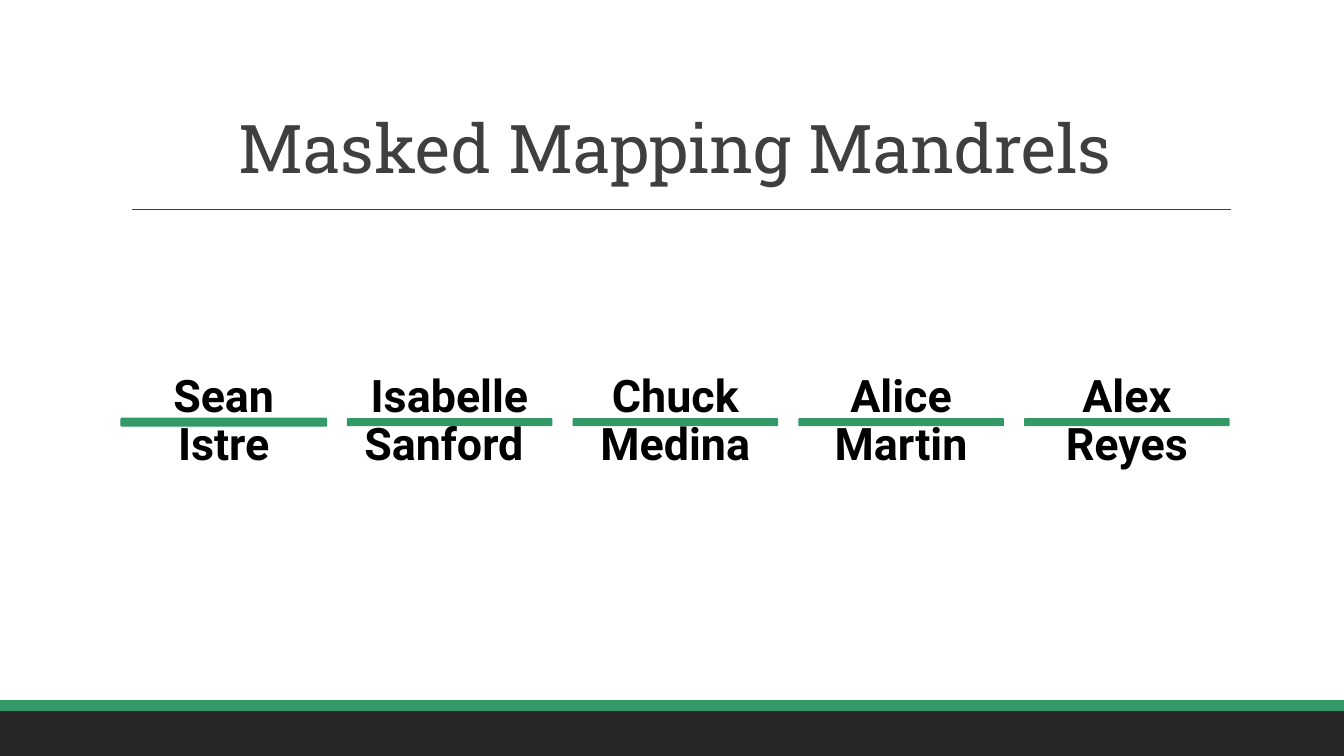
from lxml import etree
from pptx import Presentation
from pptx.dml.color import RGBColor
from pptx.enum import shapes, text
from pptx.oxml.ns import qn
from pptx.util import Cm, Pt

GREEN, DARK, GREY, BLACK = "339966", "262626", "3F3F3F", "000000"
WIDTH, HEIGHT = 33.87, 19.05
NAMES = ["Sean Istre", "Isabelle Sanford ", "Chuck Medina", "Alice Martin", "Alex Reyes"]
BAR_LEFT, BAR_TOP, BAR_WIDTH, BAR_HEIGHT, BAR_PITCH = 3.05, 10.54, 5.18, 0.2, 5.69
TEXT_INSET = 0.03


def rgb(value):
    return RGBColor.from_string(value)


def set_attrs(obj, values):
    for name, value in values.items():
        setattr(obj, name, value)


def add_bar(s, box, fill, outline=None, kind=shapes.MSO_SHAPE.RECTANGLE):
    sp = s.shapes.add_shape(kind, *map(Cm, box))
    sp.shadow.inherit = False
    sp.fill.solid()
    sp.fill.fore_color.rgb = rgb(fill)
    if outline:
        sp.line.color.rgb = rgb(fill)
        sp.line.width = Pt(outline)
    else:
        sp.line.fill.background()
    return sp


def add_rule(s, x1, x2, y, color):
    line = s.shapes.add_connector(shapes.MSO_CONNECTOR.STRAIGHT, Cm(x1), Cm(y), Cm(x2), Cm(y))
    line.line.color.rgb = rgb(color)
    line.line.width = Pt(1)
    etree.SubElement(line._element.spPr, qn("a:effectLst"))


def add_text(s, box, words, color, font, frame, spacing=None):
    tf = s.shapes.add_textbox(*map(Cm, box)).text_frame
    set_attrs(tf, {"word_wrap": True, "auto_size": text.MSO_AUTO_SIZE.NONE, **frame})
    p = tf.paragraphs[0]
    set_attrs(p, {"alignment": text.PP_ALIGN.CENTER, "line_spacing": spacing})
    r = p.add_run()
    r.text = words
    set_attrs(r.font, font)
    r.font.color.rgb = rgb(color)


def add_name(s, left, name, outline):
    bar = add_bar(s, (left, BAR_TOP, BAR_WIDTH, BAR_HEIGHT), GREEN, outline,
                  shapes.MSO_SHAPE.ROUNDED_RECTANGLE)
    bar.adjustments[0] = 0.1
    add_text(s, (left + TEXT_INSET, BAR_TOP, BAR_WIDTH - 2 * TEXT_INSET, BAR_HEIGHT), name, BLACK,
             {"name": "Roboto", "size": Pt(32), "bold": True},
             {"vertical_anchor": text.MSO_ANCHOR.MIDDLE,
              "margin_left": Cm(0.17), "margin_right": Cm(0.17),
              "margin_top": Cm(0.1), "margin_bottom": Cm(0.1)}, 0.9)


def main():
    prs = Presentation()
    set_attrs(prs, {"slide_width": Cm(WIDTH), "slide_height": Cm(HEIGHT)})
    s = prs.slides.add_slide(prs.slide_layouts[6])

    # Footer bands and title rule
    add_bar(s, (0, 17.78, WIDTH, 1.27), DARK)
    add_rule(s, 3.33, 31.01, 5.28, GREY)
    add_bar(s, (0, 17.65, WIDTH, 0.25), GREEN, 1.25)

    # Title
    add_text(s, (3.05, 0.79, 27.94, 4.04), "Masked Mapping Mandrels", GREY,
             {"name": "Roboto Slab", "size": Pt(48)},
             {"vertical_anchor": text.MSO_ANCHOR.BOTTOM})

    # Team names, the first bar outlined
    for i, name in enumerate(NAMES):
        add_name(s, BAR_LEFT + i * BAR_PITCH, name, 0.75 if i == 0 else None)

    prs.save("out.pptx")


if __name__ == "__main__":
    main()
